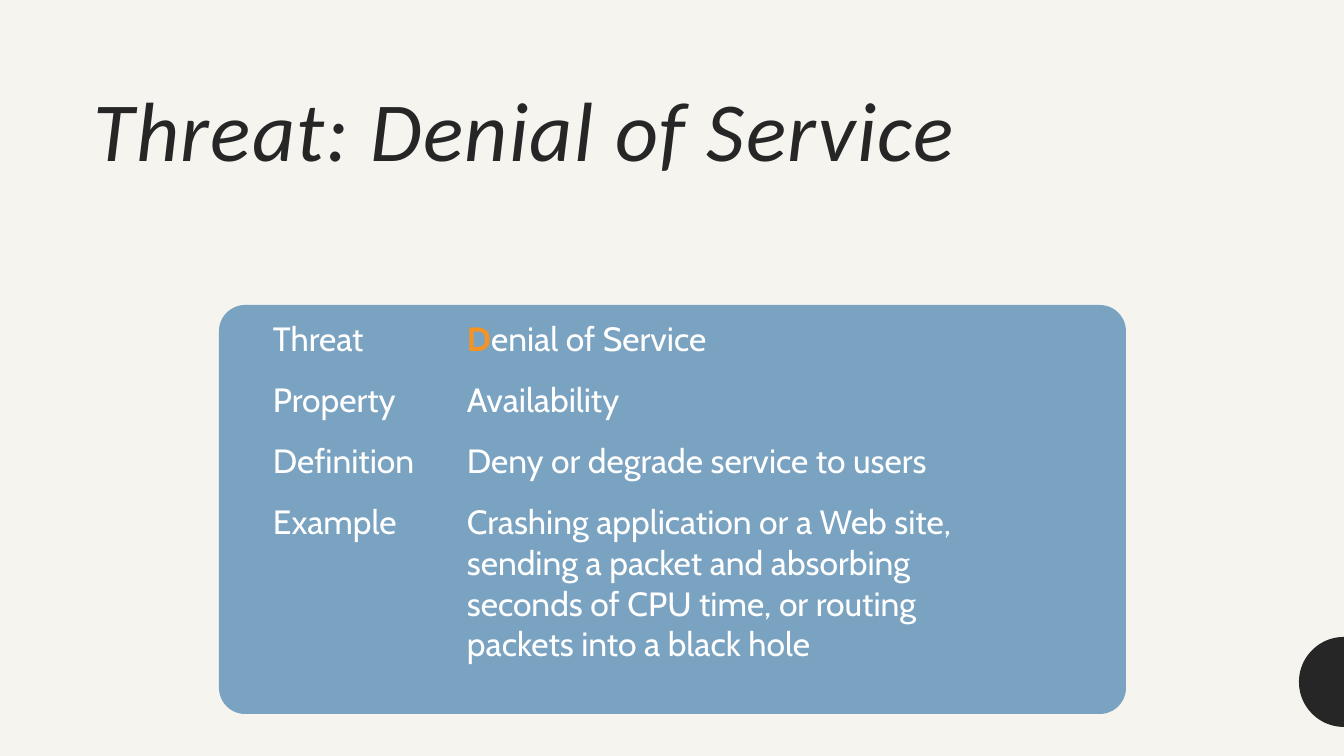
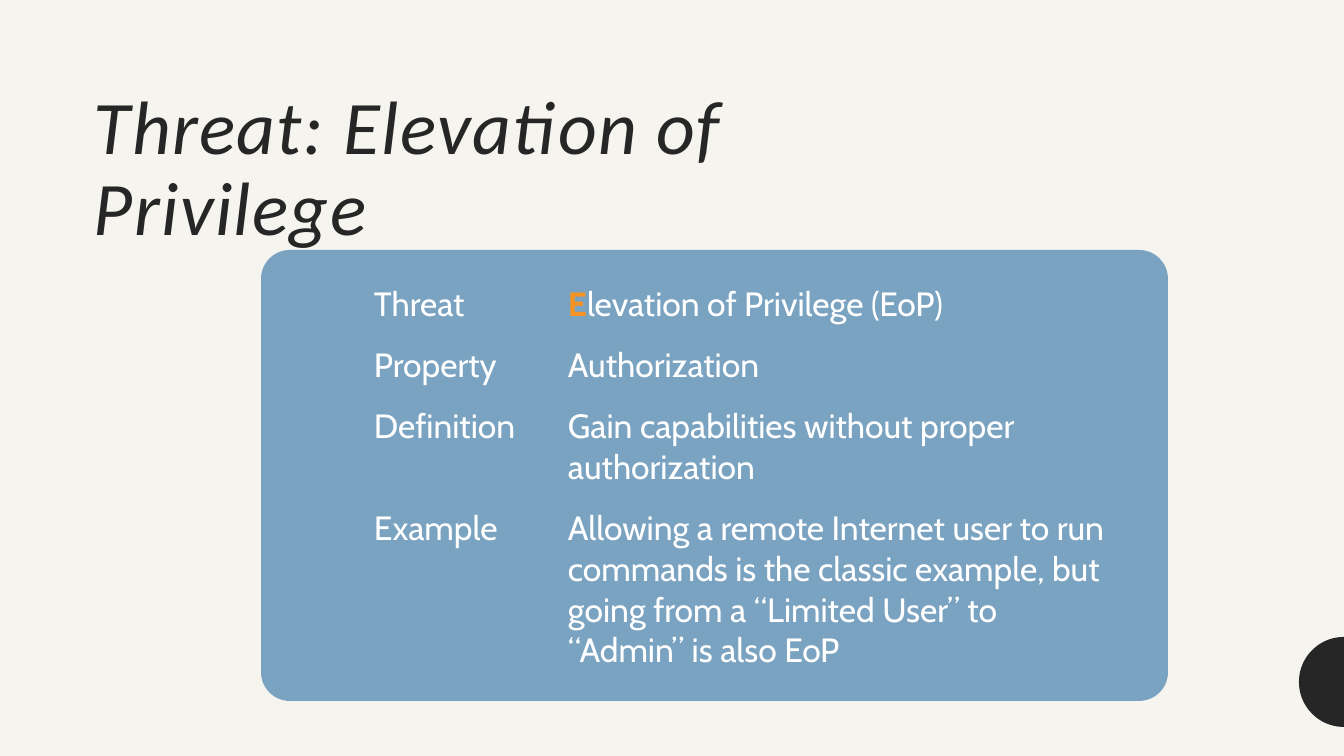
from math import cos, pi, sin

from lxml.etree import SubElement
from pptx import Presentation
from pptx.dml.color import RGBColor
from pptx.enum.shapes import MSO_SHAPE
from pptx.enum.text import MSO_ANCHOR
from pptx.oxml.ns import qn
from pptx.util import Pt

SCALE = 914400 / 100.8  # EMU in one px
WIDE, HIGH = 1344, 756

CREAM = RGBColor(0xF6, 0xF4, 0xEF)
DARK = RGBColor(0x26, 0x26, 0x26)
BLUE = RGBColor(0x00, 0x51, 0x94)
WHITE = RGBColor(0xFF, 0xFF, 0xFF)
GOLD = RGBColor(0xF5, 0x93, 0x24)

BODY = {"name": "Cabin", "size": Pt(24), "bold": False}
PAD, LINE = 10, 41  # cell margin and height of one text line
COLS = (194, 561)
PLAIN = "{2D5ABB26-0587-4C30-8999-92F81FD0307C}"  # table style without grid


def px(num):
    return round(num * SCALE)


class Deck:
    def __init__(self):
        self.prs = Presentation()
        self.prs.slide_width, self.prs.slide_height = px(WIDE), px(HIGH)
        back = self.prs.slide_master.background.fill
        back.solid()
        back.fore_color.rgb = CREAM
        self.page = None

    def start(self):
        self.page = self.prs.slides.add_slide(self.prs.slide_layouts[6])
        self.disc(682, 45)

    def paint(self, shape, color):
        shape.shadow.inherit = False
        shape.fill.solid()
        shape.fill.fore_color.rgb = color
        shape.line.fill.background()

    def add_run(self, para, text, form, color):
        run = para.add_run()
        run.text = text
        for key, value in form.items():
            setattr(run.font, key, value)
        run.font.color.rgb = color
        return run

    def disc(self, mid, size, steps=52):
        """Half disc that bulges in from the right edge."""
        turns = [pi * n / steps for n in range(steps + 1)]
        dots = [(px(WIDE - size * sin(t)), px(mid - size * cos(t))) for t in turns]
        edge = self.page.shapes.build_freeform(*dots[0])
        edge.add_line_segments(dots[1:], close=True)
        self.paint(edge.convert_to_shape(), DARK)

    def panel(self, *place):
        shape = self.page.shapes.add_shape(
            MSO_SHAPE.ROUNDED_RECTANGLE, *map(px, place))
        shape.adjustments[0] = 0.064
        self.paint(shape, BLUE)
        tint = shape.element.spPr.find(".//" + qn("a:srgbClr"))
        SubElement(tint, qn("a:alpha"), val="50000")

    def title(self, text, size, width, height):
        box = self.page.shapes.add_textbox(*map(px, (84, 84, width, height)))
        frame = box.text_frame
        frame.word_wrap = True
        frame.vertical_anchor = MSO_ANCHOR.TOP
        para = frame.paragraphs[0]
        para.line_spacing = 0.9
        form = {"name": "Calibri", "size": Pt(size), "italic": True}
        self.add_run(para, text, form, DARK)
        box.element.find(".//" + qn("a:rPr")).set("spc", "100")

    def cell(self, cell, text, mark=False):
        """Fill a cell; mark sets its first letter in bold gold."""
        cell.fill.background()
        for side in ("left", "right", "top", "bottom"):
            setattr(cell, "margin_" + side, px(PAD))
        para = cell.text_frame.paragraphs[0]
        if mark:
            self.add_run(para, text[0], {**BODY, "bold": True}, GOLD)
            text = text[1:]
        self.add_run(para, text, BODY, WHITE)

    def table(self, left, top, rows):
        """Rows hold label, text and the number of text lines."""
        highs = [2 * PAD + LINE * lines for _, _, lines in rows]
        place = (left, top, sum(COLS), sum(highs))
        frame = self.page.shapes.add_table(len(rows), 2, *map(px, place))
        frame.element.find(".//" + qn("a:tableStyleId")).text = PLAIN
        grid = frame.table
        grid.first_row = grid.horz_banding = False
        for col, width in zip(grid.columns, COLS):
            col.width = px(width)
        for num, (label, text, _) in enumerate(rows):
            grid.rows[num].height = px(highs[num])
            self.cell(grid.cell(num, 0), label)
            self.cell(grid.cell(num, 1), text, mark=num == 0)


def main():
    deck = Deck()

    deck.start()
    deck.panel(219, 305, 907, 409)
    deck.title("Threat: Denial of Service", 60, 935, 201)
    deck.table(263, 309, [
        ("Threat", "Denial of Service", 1),
        ("Property", "Availability", 1),
        ("Definition", "Deny or degrade service to users", 1),
        ("Example", "Crashing application or a Web site, sending a packet and "
         "absorbing seconds of CPU time, or routing packets into a black hole", 4),
    ])

    deck.start()
    deck.panel(261, 250, 907, 451)
    deck.title("Threat: Elevation of Privilege", 54, 723, 79)
    deck.table(364, 274, [
        ("Threat", "Elevation of Privilege (EoP)", 1),
        ("Property", "Authorization", 1),
        ("Definition", "Gain capabilities without proper authorization", 2),
        ("Example", "Allowing a remote Internet user to run commands is the "
         "classic example, but going from a “Limited User” to “Admin” is also EoP", 4),
    ])

    deck.prs.save("out.pptx")


if __name__ == "__main__":
    main()
